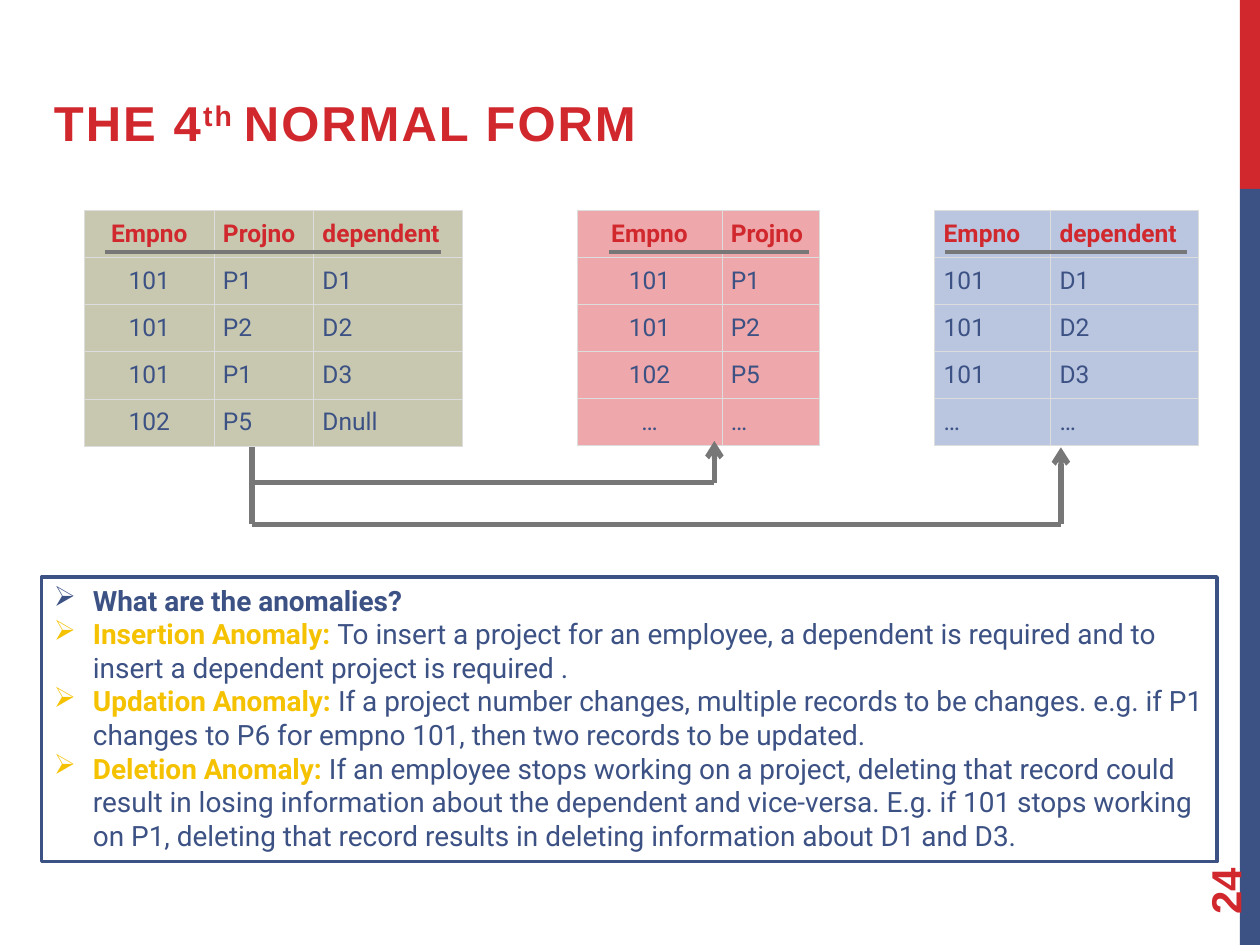
from dataclasses import dataclass
from itertools import pairwise

from lxml.etree import SubElement
from pptx import Presentation
from pptx.dml.color import RGBColor
from pptx.enum.shapes import MSO_CONNECTOR as Connector, MSO_SHAPE as Shape
from pptx.enum.text import MSO_ANCHOR as Anchor, PP_ALIGN as Align
from pptx.oxml.ns import qn
from pptx.util import Inches, Pt


@dataclass(frozen=True)
class Theme:
    red: str = "D1282E"
    navy: str = "3C5184"
    gold: str = "F5C201"
    gray: str = "777777"
    border: str = "DDDDDD"
    olive: str = "C8C8B1"
    pink: str = "EEA7AA"
    blue: str = "BAC5DF"
    heading: str = "Arial"
    body: str = "Roboto"
    title_size: int = 28
    number_size: int = 24
    body_size: int = 16
    table_size: int = 14


class SlideBuilder:
    def __init__(self, slide, theme):
        self.slide = slide
        self.theme = theme

    def style(self, font, name, size, color, bold=False):
        font.name = name
        font.size = Pt(size)
        font.bold = bold
        font.color.rgb = RGBColor.from_string(color)

    def bar(self, top, height, color):
        bar = self.slide.shapes.add_shape(
            Shape.RECTANGLE, Inches(9.84), Inches(top), Inches(0.16), Inches(height))
        bar.shadow.inherit = False
        bar.fill.solid()
        bar.fill.fore_color.rgb = RGBColor.from_string(color)
        bar.line.fill.background()

    def heading(self, area, parts, size, anchor, rotation=0, spacing=0):
        box = self.slide.shapes.add_textbox(*map(Inches, area))
        box.rotation = rotation
        frame = box.text_frame
        frame.word_wrap = True
        frame.vertical_anchor = anchor
        para = frame.paragraphs[0]
        self.style(para.font, self.theme.heading, size, self.theme.red, True)
        for text, baseline in parts:
            span = para.add_run()
            span.text = text
            properties = span.font._element
            if spacing:
                properties.set("spc", str(spacing))
            if baseline:
                properties.set("baseline", str(baseline))

    def table(self, left, widths, heights, rows, color, centered):
        frame = self.slide.shapes.add_table(
            len(rows), len(widths), Inches(left), Inches(1.67),
            Inches(sum(widths)), Inches(sum(heights)))
        table = frame.table
        table.first_row = table.horz_banding = False
        for column, width in zip(table.columns, widths):
            column.width = Inches(width)
        for row, height in zip(table.rows, heights):
            row.height = Inches(height)
        for r, values in enumerate(rows):
            for c, value in enumerate(values):
                self.cell(table.cell(r, c), value, color, r == 0, centered and c == 0)

    def cell(self, cell, value, color, header, centered):
        cell.margin_left = cell.margin_right = Inches(0.07)
        cell.margin_top = cell.margin_bottom = Inches(0.07)
        properties = cell._tc.get_or_add_tcPr()
        for side in ("a:lnL", "a:lnR", "a:lnT", "a:lnB"):
            edge = SubElement(properties, qn(side), w=str(Pt(0.6)))
            fill = SubElement(edge, qn("a:solidFill"))
            SubElement(fill, qn("a:srgbClr"), val=self.theme.border)
        cell.fill.solid()
        cell.fill.fore_color.rgb = RGBColor.from_string(color)
        para = cell.text_frame.paragraphs[0]
        para.text = value
        para.alignment = Align.CENTER if centered else Align.LEFT
        text_color = self.theme.red if header else self.theme.navy
        self.style(para.font, self.theme.body, self.theme.table_size, text_color, header)

    def bullet_box(self, area, items):
        box = self.slide.shapes.add_shape(Shape.RECTANGLE, *map(Inches, area))
        box.shadow.inherit = False
        box.fill.background()
        box.line.color.rgb = RGBColor.from_string(self.theme.navy)
        box.line.width = Pt(2)
        frame = box.text_frame
        frame.word_wrap = True
        frame.vertical_anchor = Anchor.TOP
        for index, (label, text, color) in enumerate(items):
            para = frame.add_paragraph() if index else frame.paragraphs[0]
            para.alignment = Align.LEFT
            properties = para._p.get_or_add_pPr()
            properties.set("marL", str(Inches(0.31)))
            properties.set("indent", str(-Inches(0.31)))
            SubElement(properties, qn("a:buChar"), char="➢")
            for words, shade, bold in ((label, color, True), (text, self.theme.navy, False)):
                if words:
                    span = para.add_run()
                    span.text = words
                    self.style(span.font, self.theme.body, self.theme.body_size, shade, bold)

    def line(self, start, end, width, arrow=False):
        line = self.slide.shapes.add_connector(
            Connector.STRAIGHT, *map(Inches, (*start, *end)))
        line.line.color.rgb = RGBColor.from_string(self.theme.gray)
        line.line.width = Pt(width)
        if arrow:
            SubElement(line.line._get_or_add_ln(), qn("a:tailEnd"), type="arrow")
        SubElement(line._element.spPr, qn("a:effectLst"))

    def route(self, points):
        for start, end in pairwise(points):
            self.line(start, end, 3, arrow=end == points[-1])


def main():
    deck = Presentation()
    deck.slide_width, deck.slide_height = Inches(10), Inches(7.5)
    theme = Theme()
    page = SlideBuilder(deck.slides.add_slide(deck.slide_layouts[6]), theme)

    page.bar(0, 1.5, theme.red)
    page.bar(1.5, 6, theme.navy)
    page.heading((9, 6.44, 1.44, 0.4), [("24", 0)], theme.number_size,
                 Anchor.MIDDLE, rotation=270)
    page.heading((0.33, 0.58, 8.42, 0.67),
                 [("THE 4", 0), ("th ", 30000), ("NORMAL FORM", 0)],
                 theme.title_size, Anchor.BOTTOM, spacing=120)

    page.table(0.67, [1.03, 0.79, 1.18], [0.36] + [0.375] * 4, [
        ("Empno", "Projno", "dependent"),
        ("101", "P1", "D1"),
        ("101", "P2", "D2"),
        ("101", "P1", "D3"),
        ("102", "P5", "Dnull"),
    ], theme.olive, centered=True)

    page.bullet_box((0.33, 4.58, 9.33, 2.26), [
        ("What are the anomalies?", "", theme.navy),
        ("Insertion Anomaly: ",
         "To insert a project for an employee, a dependent is required and to "
         "insert a dependent project is required .", theme.gold),
        ("Updation Anomaly: ",
         "If a project number changes, multiple records to be changes. e.g. if P1 "
         "changes to P6 for empno 101, then two records to be updated.", theme.gold),
        ("Deletion Anomaly: ",
         "If an employee stops working on a project, deleting that record could "
         "result in losing information about the dependent and vice-versa. E.g. if "
         "101 stops working on P1, deleting that record results in deleting "
         "information about D1 and D3.", theme.gold),
    ])

    page.table(4.58, [1.15, 0.77], [0.365] * 5, [
        ("Empno", "Projno"),
        ("101", "P1"),
        ("101", "P2"),
        ("102", "P5"),
        ("…", "…"),
    ], theme.pink, centered=True)
    page.table(7.42, [0.92, 1.17], [0.365] * 5, [
        ("Empno", "dependent"),
        ("101", "D1"),
        ("101", "D2"),
        ("101", "D3"),
        ("…", "…"),
    ], theme.blue, centered=False)

    page.route([(2, 3.55), (2, 3.83), (5.67, 3.83), (5.67, 3.5)])
    page.route([(2, 3.83), (2, 4.16), (8.42, 4.16), (8.42, 3.55)])
    for left, right in ((0.83, 3.5), (4.83, 6.42), (7.5, 9.42)):
        page.line((left, 2), (right, 2), 2)

    deck.save("out.pptx")


if __name__ == "__main__":
    main()
